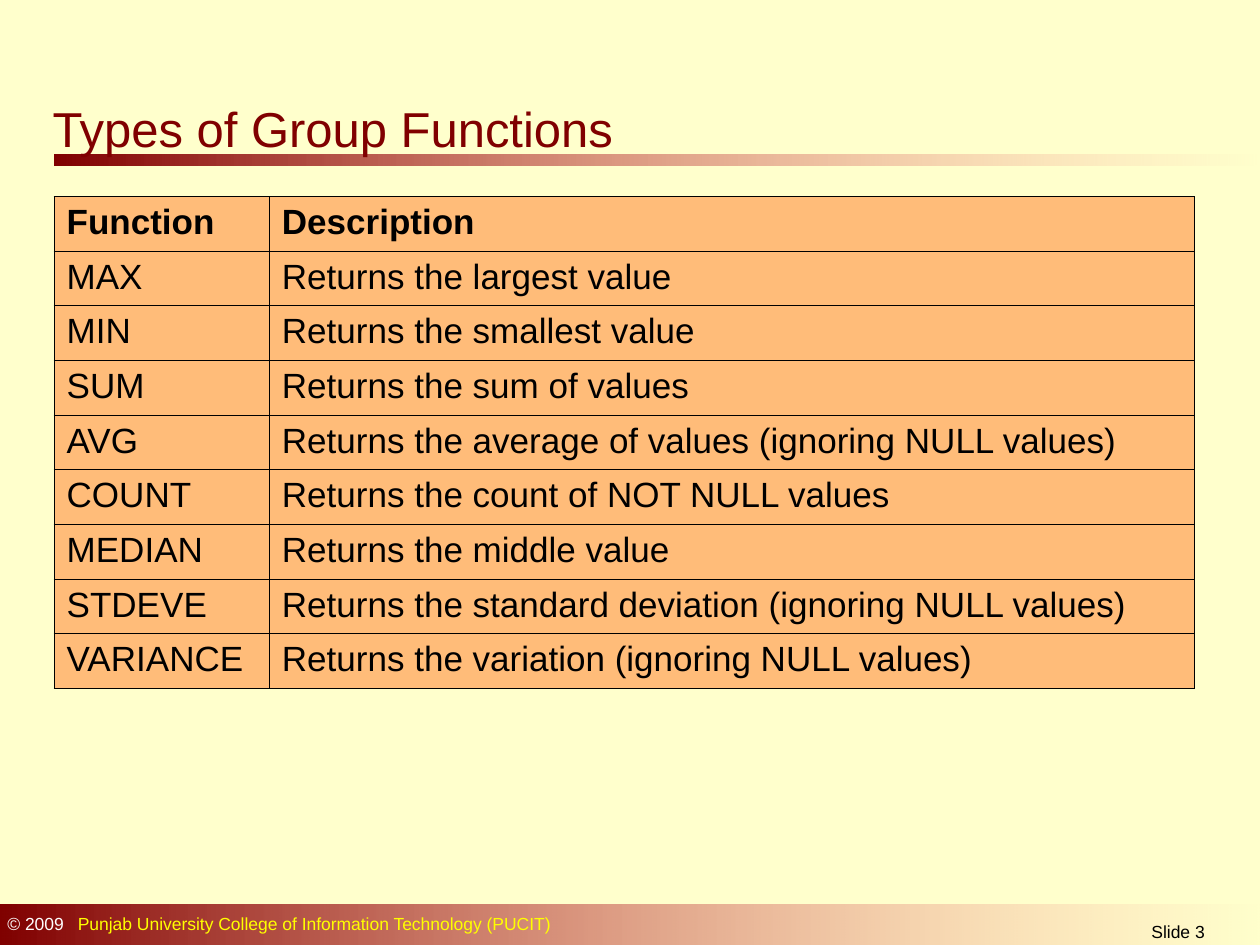
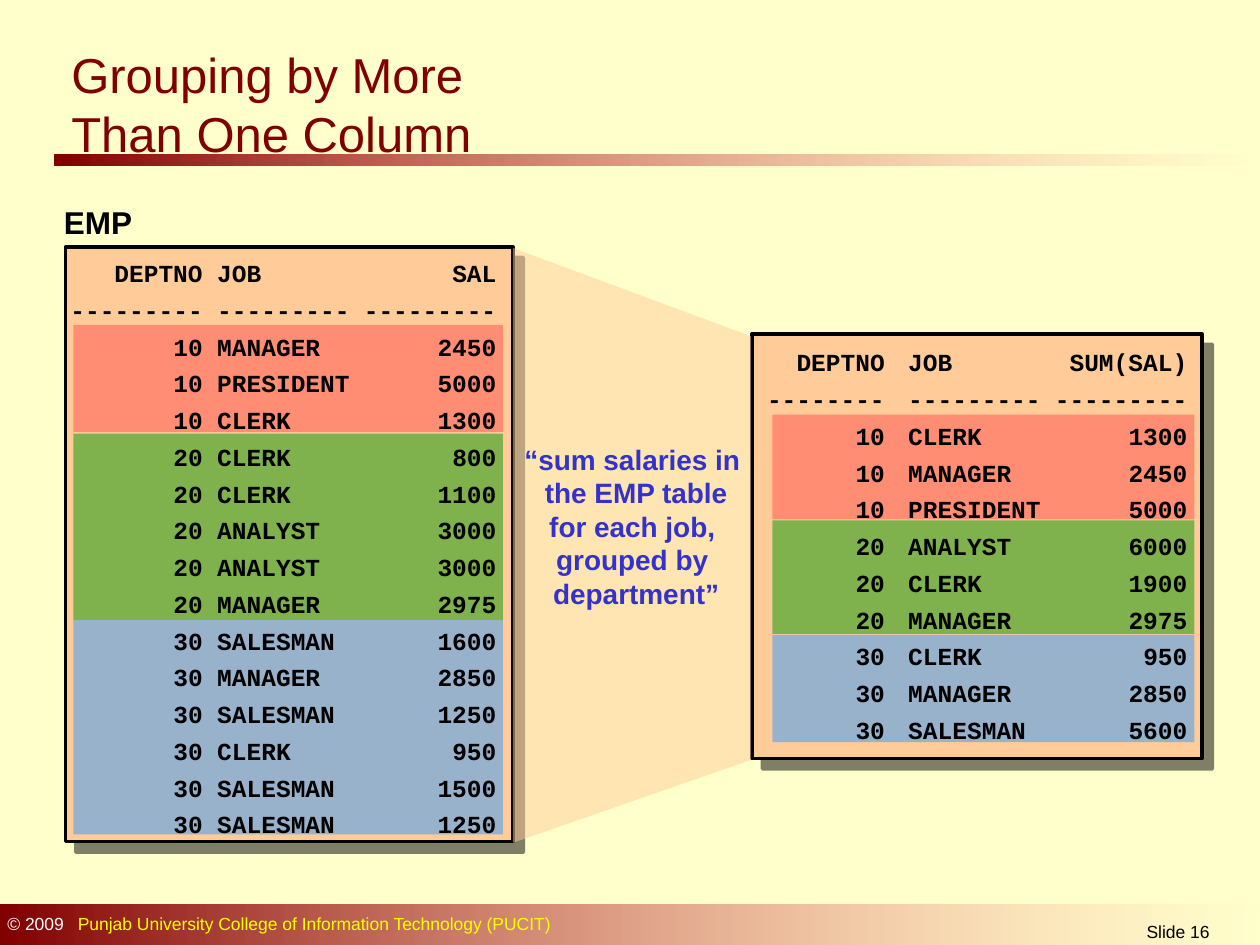
"""Build two slides on SQL group functions and multi-column grouping."""
from dataclasses import dataclass

from lxml import etree
from pptx import Presentation
from pptx.dml.color import RGBColor
from pptx.enum.shapes import MSO_SHAPE
from pptx.enum.text import MSO_ANCHOR, PP_ALIGN
from pptx.oxml.ns import qn
from pptx.util import Cm, Pt

RECT = MSO_SHAPE.RECTANGLE
LEFT, CENTER, RIGHT = PP_ALIGN.LEFT, PP_ALIGN.CENTER, PP_ALIGN.RIGHT
TOP, MIDDLE = MSO_ANCHOR.TOP, MSO_ANCHOR.MIDDLE
SANS, MONO = "Arial", "Courier New"
COLORS = {
    "page": "FFFFCC", "maroon": "800000", "fade": "FF8585", "black": "000000",
    "white": "FFFFFF", "yellow": "FFFF00", "cell": "FFBC79", "panel": "FFCC99",
    "quote": "3333CC", "dept10": "FF5050", "dept20": "009900", "dept30": "3399FF",
}


@dataclass(frozen=True)
class Box:
    left: float
    top: float
    width: float
    height: float

    def emu(self) -> tuple:
        return Cm(self.left), Cm(self.top), Cm(self.width), Cm(self.height)


@dataclass(frozen=True)
class Style:
    size: float
    color: str = "black"
    font: str = SANS
    bold: bool = False
    align: PP_ALIGN = LEFT
    spacing: float = 1.0
    anchor: MSO_ANCHOR = TOP
    tabs: tuple = ()


@dataclass(frozen=True)
class Band:
    box: Box
    color: str


TITLE = Style(28, "maroon", anchor=MIDDLE)
FOOTER = Style(10, "white", tabs=((1.42, "l"),))
NUMBER = Style(10, align=CENTER)
HEADER_CELL, BODY_CELL = Style(20, bold=True), Style(20)
LABEL = Style(18, bold=True)
QUOTE = Style(16, "quote", bold=True, align=CENTER)
EMP_ROWS = Style(14, font=MONO, bold=True, spacing=1.25,
                 tabs=((2.67, "r"), (2.96, "l"), (8.59, "r")))
SUM_ROWS = Style(14, font=MONO, bold=True, spacing=1.25, tabs=((5.63, "r"),))
DEPT_ROWS = Style(14, font=MONO, bold=True, spacing=1.25, align=RIGHT)

GRADIENT_BARS = (Box(1.09, 3.12, 24.31, 0.21), Box(0, 18.24, 25.48, 0.89))
FUNCTIONS = (
    ("Function", "Description"),
    ("MAX", "Returns the largest value"),
    ("MIN", "Returns the smallest value"),
    ("SUM", "Returns the sum of values"),
    ("AVG", "Returns the average of values (ignoring NULL values)"),
    ("COUNT", "Returns the count of NOT NULL values"),
    ("MEDIAN", "Returns the middle value"),
    ("STDEVE", "Returns the standard deviation (ignoring NULL values)"),
    ("VARIANCE", "Returns the variation (ignoring NULL values)"),
)
EMP = (
    ("DEPTNO", "JOB", "SAL"), ("-" * 9,) * 3,
    (10, "MANAGER", 2450), (10, "PRESIDENT", 5000), (10, "CLERK", 1300),
    (20, "CLERK", 800), (20, "CLERK", 1100), (20, "ANALYST", 3000),
    (20, "ANALYST", 3000), (20, "MANAGER", 2975),
    (30, "SALESMAN", 1600), (30, "MANAGER", 2850), (30, "SALESMAN", 1250),
    (30, "CLERK", 950), (30, "SALESMAN", 1500), (30, "SALESMAN", 1250),
)
SUMS = (
    ("DEPTNO", "JOB", "SUM(SAL)"), ("-" * 8, "-" * 9, "-" * 9),
    (10, "CLERK", 1300), (10, "MANAGER", 2450), (10, "PRESIDENT", 5000),
    (20, "ANALYST", 6000), (20, "CLERK", 1900), (20, "MANAGER", 2975),
    (30, "CLERK", 950), (30, "MANAGER", 2850), (30, "SALESMAN", 5600),
)
PANELS = (Box(15.16, 6.73, 9.07, 8.56), Box(1.32, 4.98, 9.02, 11.99))
FUNNEL = ((10.34, 16.99), (10.34, 5.0), (15.14, 6.78), (15.14, 15.32))
BANDS = (
    Band(Box(1.48, 6.55, 8.66, 2.16), "dept10"),
    Band(Box(15.57, 8.36, 8.51, 2.11), "dept10"),
    Band(Box(15.57, 10.49, 8.51, 2.29), "dept20"),
    Band(Box(1.48, 8.74, 8.66, 3.76), "dept20"),
    Band(Box(15.57, 12.8, 8.51, 2.16), "dept30"),
    Band(Box(1.48, 12.5, 8.66, 4.32), "dept30"),
)


def rgb(name: str) -> RGBColor:
    return RGBColor.from_string(COLORS[name])


def sub(parent, tag: str, **attrs):
    return etree.SubElement(parent, qn(tag), {k: str(v) for k, v in attrs.items()})


def set_alpha(sp, percent: int) -> None:
    color = list(sp._element.spPr.iter(qn("a:srgbClr")))[-1]
    sub(color, "a:alpha", val=percent * 1000)


def style_paragraph(p, st: Style) -> None:
    p.alignment, p.line_spacing = st.align, st.spacing
    if st.tabs:
        tab_list = sub(p._p.get_or_add_pPr(), "a:tabLst")
        for pos, align in st.tabs:
            sub(tab_list, "a:tab", pos=Cm(pos), algn=align)
    p.font.name, p.font.size, p.font.bold = st.font, Pt(st.size), st.bold
    p.font.color.rgb = rgb(st.color)


def add_text(slide, box: Box, lines: tuple, st: Style, wrap: bool = True):
    tf = slide.shapes.add_textbox(*box.emu()).text_frame
    tf.word_wrap, tf.vertical_anchor = wrap, st.anchor
    for i, line in enumerate(lines):
        p = tf.paragraphs[0] if i == 0 else tf.add_paragraph()
        p.text = line
        style_paragraph(p, st)
    return tf


def add_rect(slide, box: Box):
    sp = slide.shapes.add_shape(RECT, *box.emu())
    sp.shadow.inherit = False
    sp.line.fill.background()
    return sp


def fill_solid(sp, color: str, percent: int = 100) -> None:
    sp.fill.solid()
    sp.fill.fore_color.rgb = rgb(color)
    if percent < 100:
        set_alpha(sp, percent)


def add_gradient_bar(slide, box: Box) -> None:
    sp = add_rect(slide, box)
    sp.fill.gradient()
    sp.fill.gradient_angle = 0
    for stop, color in zip(sp.fill.gradient_stops, ("maroon", "fade")):
        stop.color.rgb = rgb(color)
    set_alpha(sp, 0)


def add_panel(slide, box: Box) -> None:
    sp = add_rect(slide, box)
    fill_solid(sp, "panel")
    sp.line.color.rgb, sp.line.width = rgb("black"), Pt(2)
    effects = sp._element.spPr.find(qn("a:effectLst"))
    shadow = sub(effects, "a:outerShdw", dist=Pt(8.5), dir=45 * 60000,
                 algn="ctr", rotWithShape=0)
    sub(sub(shadow, "a:srgbClr", val=COLORS["black"]), "a:alpha", val=50000)


def add_funnel(slide) -> None:
    start, *rest = [(Cm(x), Cm(y)) for x, y in FUNNEL]
    builder = slide.shapes.build_freeform(*start)
    builder.add_line_segments(rest, close=True)
    sp = builder.convert_to_shape()
    sp.shadow.inherit = False
    sp.line.fill.background()
    fill_solid(sp, "panel", 50)


def add_base(prs, number: int, title: str, title_box: Box):
    slide = prs.slides.add_slide(prs.slide_layouts[6])
    slide.background.fill.solid()
    slide.background.fill.fore_color.rgb = rgb("page")
    for bar in GRADIENT_BARS:
        add_gradient_bar(slide, bar)
    tf = add_text(slide, Box(-0.1, 18.29, 16.41, 0.69), ("© 2009",), FOOTER)
    r = tf.paragraphs[0].add_run()
    r.text = "\tPunjab University College of Information Technology (PUCIT)"
    r.font.color.rgb = rgb("yellow")
    add_text(slide, Box(21.11, 18.44, 5.28, 0.61), (f"Slide {number}",), NUMBER)
    add_text(slide, title_box, (title,), TITLE)
    return slide


def style_cell(cell, text: str, st: Style) -> None:
    p = cell.text_frame.paragraphs[0]
    p.text = text
    style_paragraph(p, st)
    tc_pr = cell._tc.get_or_add_tcPr()
    for side in ("a:lnL", "a:lnR", "a:lnT", "a:lnB"):
        ln = sub(tc_pr, side, w=Pt(0.45))
        sub(sub(ln, "a:solidFill"), "a:srgbClr", val=COLORS["black"])
    cell.fill.solid()
    cell.fill.fore_color.rgb = rgb("cell")


def build_functions_slide(prs) -> None:
    slide = add_base(prs, 3, "Types of Group Functions", Box(0.81, 1.73, 13.69, 1.68))
    box = Box(1.09, 3.96, 22.98, 9.9)
    table = slide.shapes.add_table(len(FUNCTIONS), 2, *box.emu()).table
    for column, width in zip(table.columns, (4.34, 18.64)):
        column.width = Cm(width)
    for i, row in enumerate(FUNCTIONS):
        for j, text in enumerate(row):
            style_cell(table.cell(i, j), text, BODY_CELL if i else HEADER_CELL)


def build_grouping_slide(prs) -> None:
    slide = add_base(prs, 16, "Grouping by More\nThan One Column",
                     Box(1.19, 0.64, 22.99, 2.9))
    for panel in PANELS:
        add_panel(slide, panel)
    add_text(slide, Box(1.04, 3.96, 1.88, 1.02), ("EMP",), LABEL, wrap=False)
    add_funnel(slide)
    add_text(slide, Box(10.31, 8.79, 5.03, 3.63),
             ("“sum salaries in ", "the EMP table\nfor each job, ",
              "grouped by ", "department”"), QUOTE, wrap=False)
    for band in BANDS:
        fill_solid(add_rect(slide, band.box), band.color, 50)
    add_text(slide, Box(1.17, 4.93, 9.14, 12.12),
             tuple(f"\t{dept}\t{job}\t{sal}" for dept, job, sal in EMP), EMP_ROWS)
    add_text(slide, Box(18.06, 6.73, 6.17, 8.41),
             tuple(f"{job}\t{total}" for _, job, total in SUMS), SUM_ROWS)
    add_text(slide, Box(15.19, 6.73, 2.9, 8.41),
             tuple(str(dept) for dept, _, _ in SUMS), DEPT_ROWS)


def main() -> None:
    prs = Presentation()
    prs.slide_width, prs.slide_height = Cm(25.4), Cm(19.05)
    build_functions_slide(prs)
    build_grouping_slide(prs)
    prs.save("out.pptx")


if __name__ == "__main__":
    main()
